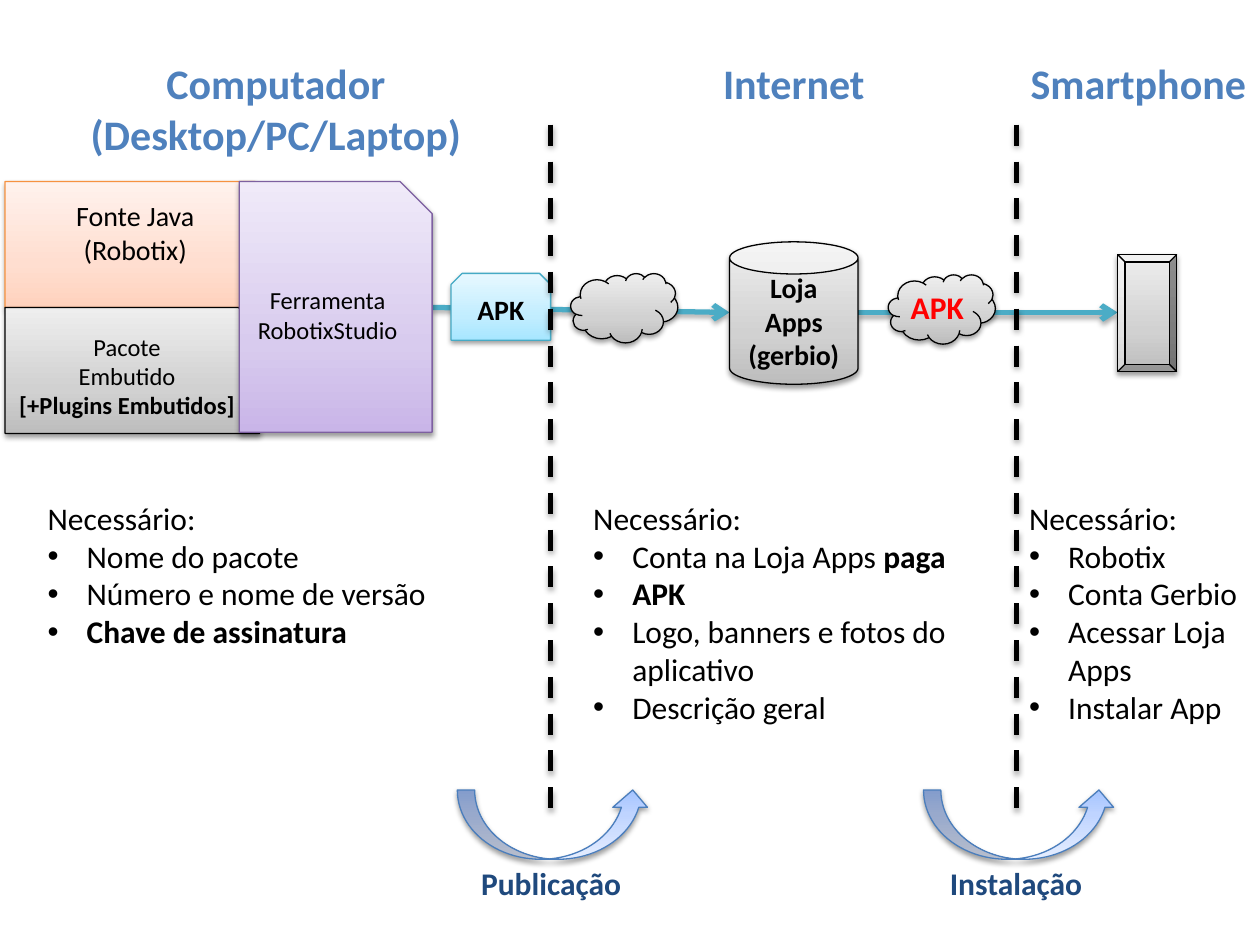
from lxml import etree
from pptx import Presentation
from pptx.dml.color import RGBColor
from pptx.enum.dml import MSO_LINE
from pptx.enum.shapes import MSO_CONNECTOR, MSO_SHAPE
from pptx.enum.text import MSO_ANCHOR, MSO_AUTO_SIZE, PP_ALIGN
from pptx.oxml.ns import qn
from pptx.util import Inches, Pt

LEFT, CENTER = PP_ALIGN.LEFT, PP_ALIGN.CENTER
CLOUD, SNIP = MSO_SHAPE.CLOUD, MSO_SHAPE.SNIP_1_RECTANGLE
CURVED_ARROW = MSO_SHAPE.CURVED_DOWN_ARROW

COLORS = {"black": "000000", "heading": "4F81BD", "step": "1F497D",
          "red": "FF0000", "flow": "4BACC6"}
# Outline, then gradient stops at 0, 35 and 100 %, from bottom to top
THEMES = {
    "gray": ("000000", "BDBDBD", "D1D1D1", "EEEEEE"),
    "orange": ("F69240", "FFD2BD", "FFDED0", "FFF2ED"),
    "cyan": ("46AAC5", "A7E6FF", "C1EDFF", "E7F8FF"),
    "purple": ("7D60A0", "C9B5E8", "D8CBEE", "F0EAF9"),
    "blue": ("4B7EBC", "A4C4FF", "BFD4FF", "E6EEFF"),
}


def add_shadow(properties, distance, opacity):
    effects = properties.find(qn("a:effectLst"))
    if effects is None:
        effects = etree.SubElement(properties, qn("a:effectLst"))
    shadow = etree.SubElement(effects, qn("a:outerShdw"), blurRad=str(Pt(3.1)),
                              dist=str(Pt(distance)), dir="5400000", rotWithShape="0")
    color = etree.SubElement(shadow, qn("a:srgbClr"), val=COLORS["black"])
    etree.SubElement(color, qn("a:alpha"), val=str(opacity * 1000))


def write_text(shape, lines, size, color="black", bold=False, align=CENTER, bullets=False):
    """Write one paragraph per line; a line is a string or a list of (text, bold) runs."""
    frame = shape.text_frame
    for index, line in enumerate(lines):
        paragraph = frame.paragraphs[0] if index == 0 else frame.add_paragraph()
        paragraph.alignment = align
        paragraph.font.size = Pt(size)
        paragraph.font.name = "Calibri"
        paragraph.font.bold = bold
        paragraph.font.color.rgb = RGBColor.from_string(COLORS[color])
        for text, run_bold in [(line, bold)] if isinstance(line, str) else line:
            run = paragraph.add_run()
            run.text = text
            if run_bold != bold:
                run.font.bold = run_bold
        if bullets and index > 0:
            settings = paragraph._p.get_or_add_pPr()
            settings.set("marL", str(Inches(0.31)))
            settings.set("indent", str(-Inches(0.31)))
            bullet_font = etree.Element(qn("a:buFont"), typeface="Arial")
            bullet = etree.Element(qn("a:buChar"), char="•")
            settings.insert(0, bullet_font)
            settings.insert(1, bullet)


presentation = Presentation()
presentation.slide_width = Inches(10)
presentation.slide_height = Inches(7.5)
slide = presentation.slides.add_slide(presentation.slide_layouts[6])

# Flow arrows behind the diagram, and dashed borders between the three zones
connectors = [
    (3.43, 2.44, 5.79, 2.48, "flow"),
    (6.81, 2.48, 8.87, 2.48, "flow"),
    (4.37, 0.99, 4.37, 6.51, "black"),
    (8.07, 0.99, 8.07, 6.51, "black"),
]
borders = []
for x1, y1, x2, y2, color in connectors:
    connector = slide.shapes.add_connector(
        MSO_CONNECTOR.STRAIGHT, Inches(x1), Inches(y1), Inches(x2), Inches(y2))
    connector.line.color.rgb = RGBColor.from_string(COLORS[color])
    connector.line.width = Pt(3)
    if color == "flow":
        etree.SubElement(connector.line._get_or_add_ln(), qn("a:tailEnd"), type="arrow")
    else:
        connector.line.dash_style = MSO_LINE.DASH
        borders.append(connector)
    add_shadow(connector._element.spPr, 1.8, 35)

# Diagram: kind, left, top, width, height, theme, lines, size, bold
diagram = [
    (MSO_SHAPE.BEVEL, 8.87, 2.02, 0.47, 0.93, "gray", [], 16, False),
    (MSO_SHAPE.CAN, 5.79, 1.92, 1.02, 1.13, "gray", ["Loja Apps", "(gerbio)"], 16, True),
    (SNIP, 0.04, 1.44, 2.15, 1, "orange", ["Fonte Java", "(Robotix)"], 16, False),
    (MSO_SHAPE.SNIP_2_SAME_RECTANGLE, 3.58, 2.17, 0.79, 0.53, "cyan", ["APK"], 16, True),
    (SNIP, 0.04, 2.44, 2.02, 1, "gray",
     ["Pacote", "Embutido", [("[+Plugins Embutidos]", True)]], 14, False),
    (SNIP, 1.9, 1.44, 1.53, 1.99, "purple", ["Ferramenta", "RobotixStudio"], 14, False),
    (CLOUD, 4.53, 2.17, 0.85, 0.55, "gray", [], 16, False),
    (CLOUD, 7.05, 2.18, 0.85, 0.55, "gray", [], 16, False),
    (CURVED_ARROW, 3.63, 6.27, 1.53, 0.55, "blue", [], 16, False),
    (CURVED_ARROW, 7.33, 6.27, 1.53, 0.55, "blue", [], 16, False),
]
for kind, left, top, width, height, theme, lines, size, bold in diagram:
    shape = slide.shapes.add_shape(
        kind, Inches(left), Inches(top), Inches(width), Inches(height))
    outline, *stops = THEMES[theme]
    shape.line.color.rgb = RGBColor.from_string(outline)
    shape.line.width = Pt(0.75)
    shape.fill.gradient()
    shape.fill.gradient_angle = 90
    properties = shape._element.spPr
    stop_list = properties.find(qn("a:gradFill")).find(qn("a:gsLst"))
    for old_stop in list(stop_list):
        stop_list.remove(old_stop)
    for position, color in zip((0, 35, 100), stops):
        stop = etree.SubElement(stop_list, qn("a:gs"), pos=str(position * 1000))
        etree.SubElement(stop, qn("a:srgbClr"), val=color)
    shape.shadow.inherit = False
    add_shadow(properties, 1.6, 38)
    if kind == CURVED_ARROW:
        properties.find(qn("a:xfrm")).set("flipV", "1")
    shape.text_frame.vertical_anchor = MSO_ANCHOR.MIDDLE
    if theme == "orange":
        shape.text_frame.margin_bottom = Inches(0.32)
    write_text(shape, lines, size, bold=bold)

# The borders run in front of the diagram
for border in borders:
    slide.shapes._spTree.append(border._element)

# Headings and labels: left, top, width, height, lines, size, color, alignment
labels = [
    (0.51, 0.41, 3.36, 0.91, ["Computador", "(Desktop/PC/Laptop)"], 24, "heading", CENTER),
    (5.63, 0.41, 1.34, 0.5, ["Internet"], 24, "heading", CENTER),
    (8.07, 0.41, 1.93, 0.5, ["Smartphone"], 24, "heading", CENTER),
    (7.13, 2.24, 0.63, 0.4, ["APK"], 18, "red", LEFT),
    (3.72, 6.81, 1.32, 0.4, ["Publicação"], 18, "step", LEFT),
    (7.44, 6.81, 1.26, 0.4, ["Instalação"], 18, "step", LEFT),
]
for left, top, width, height, lines, size, color, align in labels:
    box = slide.shapes.add_textbox(Inches(left), Inches(top), Inches(width), Inches(height))
    box.text_frame.word_wrap = False
    box.text_frame.auto_size = MSO_AUTO_SIZE.SHAPE_TO_FIT_TEXT
    write_text(box, lines, size, color, True, align)

# Requirements of each zone: left, width, height, wrap, items
requirements = [
    (0.28, 3.24, 1.31, False,
     ["Nome do pacote", "Número e nome de versão", [("Chave de assinatura", True)]]),
    (4.61, 3.29, 1.92, True,
     [[("Conta na Loja Apps ", False), ("paga", True)], [("APK", True)],
      "Logo, banners e fotos do aplicativo", "Descrição geral"]),
    (8.07, 1.93, 1.92, True,
     ["Robotix", "Conta Gerbio", "Acessar Loja Apps", "Instalar App"]),
]
for left, width, height, wrap, items in requirements:
    box = slide.shapes.add_textbox(Inches(left), Inches(3.91), Inches(width), Inches(height))
    box.text_frame.word_wrap = wrap
    box.text_frame.auto_size = MSO_AUTO_SIZE.SHAPE_TO_FIT_TEXT
    write_text(box, ["Necessário:"] + items, 18, align=LEFT, bullets=True)

presentation.save("out.pptx")
